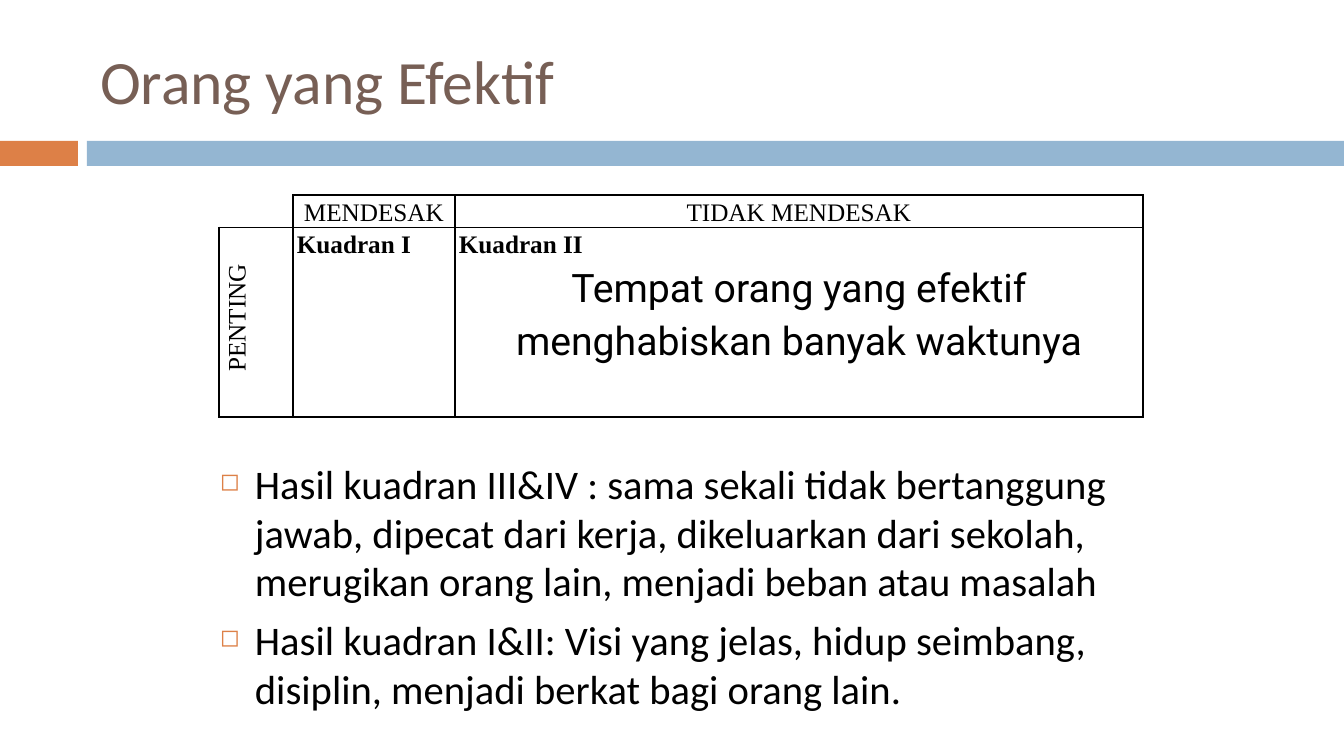
"""Build the slide on effective people and the time quadrants."""
from lxml.etree import SubElement
from pptx import Presentation
from pptx.enum.shapes import MSO_SHAPE as Shape
from pptx.enum.text import MSO_ANCHOR as Anchor, PP_ALIGN as Align
from pptx.dml.color import RGBColor
from pptx.oxml.ns import qn
from pptx.util import Pt

PX = 914400 / 100.8
COLORS = {"title": "775F55", "orange": "DD8047", "blue": "94B6D2", "ink": "000000"}
SERIF, SANS = "Times New Roman", "Calibri"

TITLE = "Orang yang Efektif"
BARS = [((0, 141, 78, 25), "orange"), ((87, 141, 1257, 25), "blue")]
TABLE_AT = (219, 195, 924, 222)
COLUMNS, ROWS = (74, 162, 688), (32, 190)
HEADING = {"align": Align.CENTER}
QUADRANT = {"bold": True}
CELLS = {
    (0, 0): [],
    (0, 1): [("MENDESAK", HEADING)],
    (0, 2): [("TIDAK MENDESAK", HEADING)],
    (1, 0): [("PENTING", {"align": Align.CENTER, "indent": 8})],
    (1, 1): [("Kuadran I", QUADRANT)],
    (1, 2): [("Kuadran II", QUADRANT),
             ("Tempat orang yang efektif menghabiskan banyak waktunya",
              {"align": Align.CENTER, "size": 28, "font": "Roboto"})],
}
RESULTS_AT = (210, 454, 915, 252)
RESULTS = [
    "Hasil kuadran III&IV : sama sekali tidak bertanggung jawab, dipecat dari kerja, "
    "dikeluarkan dari sekolah, merugikan orang lain, menjadi beban atau masalah",
    "Hasil kuadran I&II: Visi yang jelas, hidup seimbang, disiplin, "
    "menjadi berkat bagi orang lain.",
]


def emu(*lengths):
    return [round(length * PX) for length in lengths]


def write(frame, index, text, font=SERIF, size=18, color="ink", bold=False,
          align=Align.LEFT, spacing=None, before=0, indent=0, hanging=0, bullet=None):
    para = frame.add_paragraph() if index else frame.paragraphs[0]
    para.alignment = align
    if spacing:
        para.line_spacing = spacing
    para.space_before = Pt(before if index else 0)
    props = para._p.get_or_add_pPr()
    left, first = emu(indent, -hanging)
    props.set("marL", str(left))
    props.set("indent", str(first))
    if bullet:
        tint = SubElement(props, qn("a:buClr"))
        SubElement(tint, qn("a:srgbClr"), val=COLORS["orange"])
        SubElement(props, qn("a:buSzPct"), val="60000")
        SubElement(props, qn("a:buChar"), char=bullet)
    span = para.add_run()
    span.text = text
    span.font.name, span.font.size, span.font.bold = font, Pt(size), bold
    span.font.color.rgb = RGBColor.from_string(COLORS[color])


def set_borders(cell, hidden):
    props = cell._tc.get_or_add_tcPr()
    for side in ("lnL", "lnR", "lnT", "lnB"):
        line = SubElement(props, qn("a:" + side), w=str(Pt(1)))
        if side in hidden:
            SubElement(line, qn("a:noFill"))
        else:
            fill = SubElement(line, qn("a:solidFill"))
            SubElement(fill, qn("a:srgbClr"), val=COLORS["ink"])


def add_bars(page):
    for place, color in BARS:
        bar = page.shapes.add_shape(Shape.RECTANGLE, *emu(*place))
        bar.shadow.inherit = False
        bar.fill.solid()
        bar.fill.fore_color.rgb = RGBColor.from_string(COLORS[color])
        bar.line.fill.background()


def add_title(page):
    title = page.shapes.title
    title.left, title.top, title.width, title.height = emu(90, 25, 1198, 109)
    title.text_frame.vertical_anchor = Anchor.MIDDLE
    write(title.text_frame, 0, TITLE, font=SANS, size=44, color="title")


def add_quadrants(page):
    table = page.shapes.add_table(len(ROWS), len(COLUMNS), *emu(*TABLE_AT)).table
    table.first_row = table.horz_banding = False
    for column, width in zip(table.columns, emu(*COLUMNS)):
        column.width = width
    for row, height in zip(table.rows, emu(*ROWS)):
        row.height = height
    for (row, column), paras in CELLS.items():
        cell = table.cell(row, column)
        set_borders(cell, () if paras else ("lnL", "lnT"))
        cell.fill.background()
        cell.margin_left, cell.margin_right = emu(4, 4)
        cell.margin_top = cell.margin_bottom = 0
        is_header = row == 0 or column == 0
        cell.vertical_anchor = Anchor.BOTTOM if is_header else Anchor.TOP
        if row and not column:
            cell._tc.get_or_add_tcPr().set("vert", "vert270")
        for index, (text, style) in enumerate(paras):
            write(cell.text_frame, index, text, spacing=1.15, **style)


def add_results(page):
    frame = page.shapes.add_textbox(*emu(*RESULTS_AT)).text_frame
    frame.word_wrap = True
    for index, text in enumerate(RESULTS):
        write(frame, index, text, font=SANS, size=29, before=7,
              indent=35, hanging=35, bullet="◻")


def main():
    deck = Presentation()
    deck.slide_width, deck.slide_height = emu(1344, 756)
    page = deck.slides.add_slide(deck.slide_layouts[5])
    add_bars(page)
    add_title(page)
    add_quadrants(page)
    add_results(page)
    deck.save("out.pptx")


if __name__ == "__main__":
    main()
